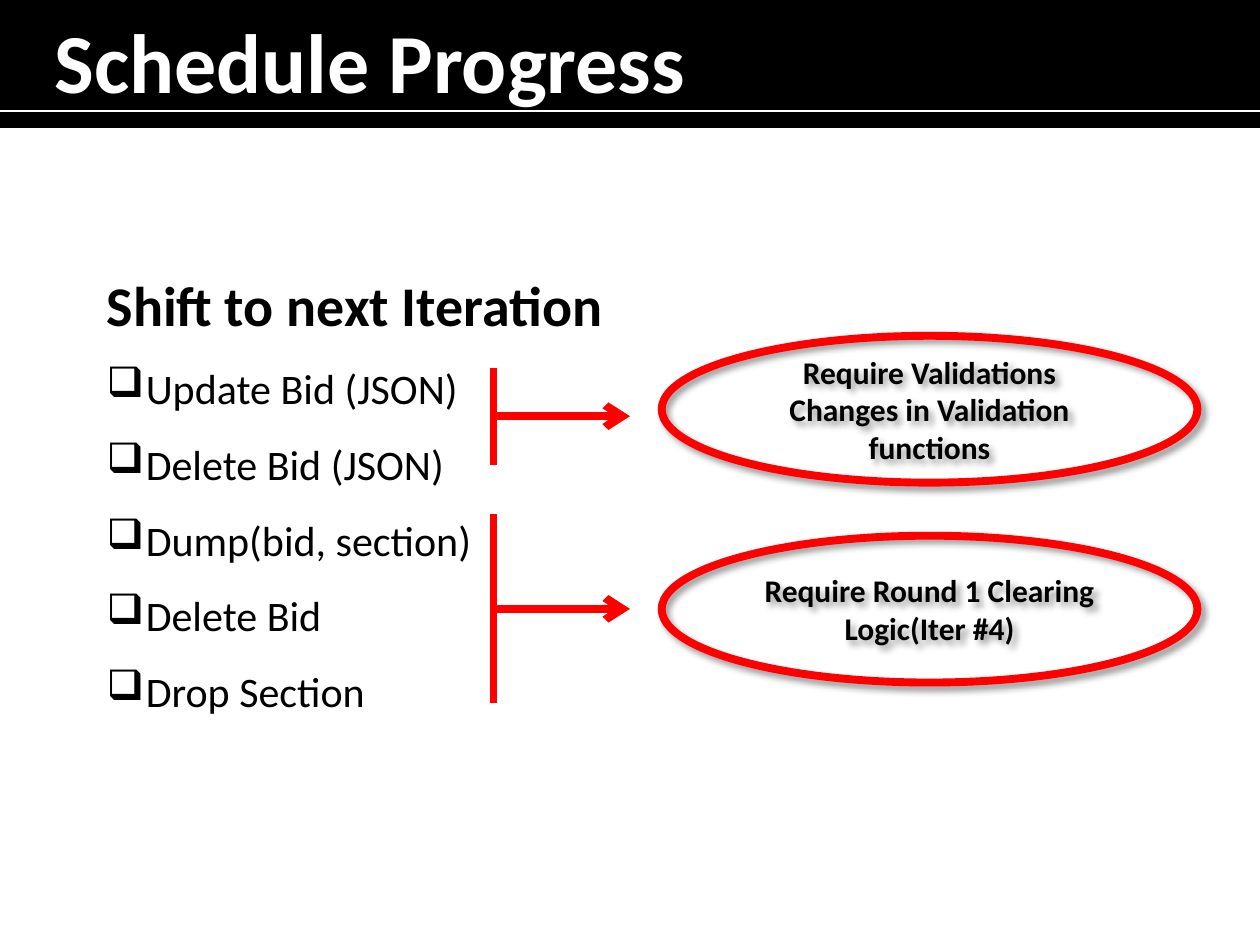
from dataclasses import dataclass

from lxml.etree import SubElement
from pptx import Presentation
from pptx.dml.color import RGBColor as RGB
from pptx.enum.shapes import MSO_CONNECTOR as Connector, MSO_SHAPE as Shape
from pptx.enum.text import MSO_ANCHOR as Anchor, MSO_AUTO_SIZE as AutoSize, PP_ALIGN as Align
from pptx.oxml.ns import qn
from pptx.util import Cm, Pt


@dataclass(frozen=True)
class Theme:
    font: str = "Calibri"
    dark: RGB = RGB(0, 0, 0)
    light: RGB = RGB(255, 255, 255)
    accent: RGB = RGB(255, 0, 0)
    title_size: float = 48
    heading_size: float = 32
    item_size: float = 24
    note_size: float = 18
    accent_width: float = 4.5
    rule_width: float = 0.75


class SlideBuilder:
    def __init__(self, slide, theme):
        self.slide = slide
        self.theme = theme

    def run(self, paragraph, text, size, color, bold=True):
        run = paragraph.add_run()
        run.text = text
        font = run.font
        font.name, font.size, font.bold = self.theme.font, Pt(size), bold
        font.color.rgb = color

    def band(self, left, top, width, height):
        shape = self.slide.shapes.add_shape(
            Shape.RECTANGLE, Cm(left), Cm(top), Cm(width), Cm(height))
        shape.shadow.inherit = False
        shape.fill.solid()
        shape.fill.fore_color.rgb = self.theme.dark
        shape.line.color.rgb = self.theme.dark
        shape.line.width = Pt(2)

    def text_box(self, left, top, width, height, anchor):
        box = self.slide.shapes.add_textbox(Cm(left), Cm(top), Cm(width), Cm(height))
        frame = box.text_frame
        frame.word_wrap = True
        frame.vertical_anchor = anchor
        return frame

    def title(self, text, left, top, width, height):
        frame = self.text_box(left, top, width, height, Anchor.MIDDLE)
        self.run(frame.paragraphs[0], text, self.theme.title_size, self.theme.light)

    def checklist(self, heading, items, left, top, width, height):
        frame = self.text_box(left, top, width, height, Anchor.TOP)
        frame.auto_size = AutoSize.SHAPE_TO_FIT_TEXT
        paragraph = frame.paragraphs[0]
        paragraph.line_spacing = 1.5
        self.run(paragraph, heading, self.theme.heading_size, self.theme.dark)
        for item in items:
            paragraph = frame.add_paragraph()
            paragraph.line_spacing = 1.5
            properties = paragraph._p.get_or_add_pPr()
            indent = Cm(0.79)
            properties.set("marL", str(indent))
            properties.set("indent", str(-indent))
            SubElement(properties, qn("a:buChar"), char="❑")
            self.run(paragraph, item, self.theme.item_size, self.theme.dark, bold=False)

    def line(self, start, end, color, width, arrow=False):
        connector = self.slide.shapes.add_connector(
            Connector.STRAIGHT, *(Cm(value) for value in (*start, *end)))
        connector.line.color.rgb = color
        connector.line.width = Pt(width)
        if arrow:
            SubElement(connector.line._get_or_add_ln(), qn("a:tailEnd"), type="arrow")
        SubElement(connector._element.spPr, qn("a:effectLst"))

    def bracket(self, left, top, bottom, tip):
        middle = (top + bottom) / 2
        style = self.theme.accent, self.theme.accent_width
        self.line((left, top), (left, bottom), *style)
        self.line((left, middle), (tip, middle), *style, arrow=True)

    def note(self, lines, left, top, width, height):
        shape = self.slide.shapes.add_shape(
            Shape.OVAL, Cm(left), Cm(top), Cm(width), Cm(height))
        shape.fill.background()
        shape.line.color.rgb = self.theme.accent
        shape.line.width = Pt(self.theme.accent_width)
        self.soft_shadow(shape)
        frame = shape.text_frame
        frame.word_wrap = True
        frame.vertical_anchor = Anchor.MIDDLE
        for index, text in enumerate(lines):
            paragraph = frame.add_paragraph() if index else frame.paragraphs[0]
            paragraph.alignment = Align.CENTER
            self.run(paragraph, text, self.theme.note_size, self.theme.dark)

    def soft_shadow(self, shape):
        shape.shadow.inherit = False
        effects = shape._element.spPr.find(qn("a:effectLst"))
        shadow = SubElement(effects, qn("a:outerShdw"), blurRad=str(Pt(4)),
                            dist=str(Pt(3)), dir=str(45 * 60000), rotWithShape="0")
        color = SubElement(shadow, qn("a:srgbClr"), val=str(self.theme.dark))
        SubElement(color, qn("a:alpha"), val="40000")


def main():
    presentation = Presentation()
    presentation.slide_width, presentation.slide_height = Cm(25.4), Cm(19.05)
    theme = Theme()
    builder = SlideBuilder(
        presentation.slides.add_slide(presentation.slide_layouts[6]), theme)

    builder.band(0, 0, 25.4, 2.54)
    builder.title("Schedule Progress", 0.85, -1.02, 15.37, 4.47)
    builder.line((0, 2.24), (25.4, 2.24), theme.light, theme.rule_width)
    builder.checklist(
        "Shift to next Iteration",
        ["Update Bid (JSON)", "Delete Bid (JSON)", "Dump(bid, section)",
         "Delete Bid", "Drop Section"],
        1.9, 4.65, 21.59, 10.01)

    groups = [
        (7.41, 9.37, 6.77, ["Require Validations", "Changes in Validation functions"]),
        (10.37, 14.18, 10.8, ["Require Round 1 Clearing Logic(Iter #4)"]),
    ]
    for top, bottom, note_top, lines in groups:
        builder.bracket(9.95, top, bottom, tip=12.7)
        builder.note(lines, 13.34, note_top, 10.8, 2.96)

    presentation.save("out.pptx")


if __name__ == "__main__":
    main()
